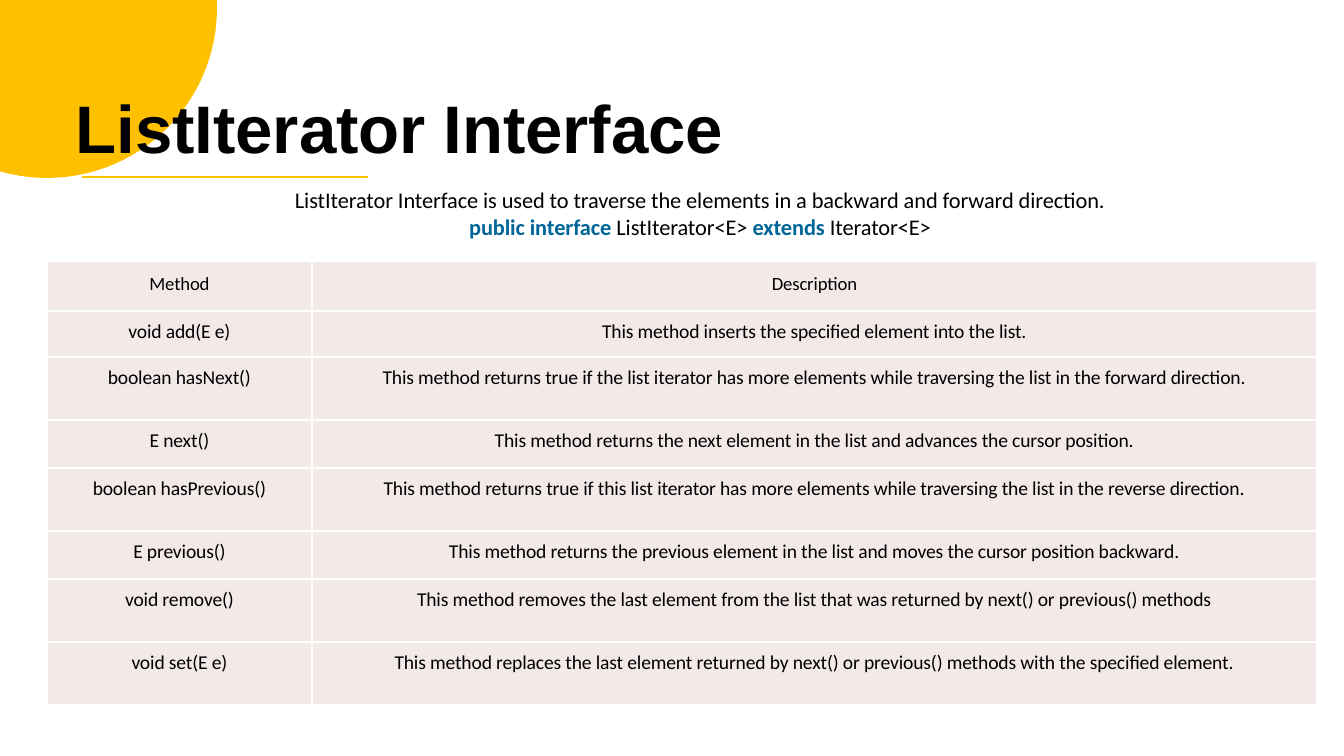
from dataclasses import dataclass
from math import acos, asin, cos, sin

from lxml.etree import SubElement
from pptx import Presentation
from pptx.dml.color import RGBColor
from pptx.enum.shapes import MSO_CONNECTOR
from pptx.enum.text import PP_ALIGN
from pptx.oxml.ns import qn
from pptx.util import Pt


@dataclass(frozen=True)
class Theme:
    accent: str = "FFC000"
    ink: str = "000000"
    keyword: str = "006699"
    cell: str = "F4E9E9"
    border: str = "FFFFFF"
    title_font: str = "Arial"
    body_font: str = "Calibri"
    title_size: float = 36
    intro_size: float = 12
    header_size: float = 10
    row_size: float = 10.5


theme = Theme()
PX = 914400 / 134.4


def px(*lengths):
    return [round(length * PX) for length in lengths]


def write(paragraph, text, size, color=theme.ink, font=theme.body_font,
          bold=False, align=PP_ALIGN.CENTER, spacing=-5):
    """Append a run; spacing is in hundredths of a point."""
    paragraph.alignment = align
    run = paragraph.add_run()
    run.text = text
    run.font.size = Pt(size)
    run.font.name = font
    run.font.bold = bold
    run.font.color.rgb = RGBColor.from_string(color)
    run.font._element.set("spc", str(spacing))


deck = Presentation()
deck.slide_width, deck.slide_height = px(1344, 756)
slide = deck.slides.add_slide(deck.slide_layouts[6])
shapes = slide.shapes

# Corner disc, cut off by the slide's top and left edges
center_x, center_y, radius = 47, 8, 170
start, end = -asin(center_y / radius), acos(-center_x / radius)
steps = 48
angles = [start + (end - start) * i / steps for i in range(steps + 1)]
arc = [px(center_x + radius * cos(a), center_y + radius * sin(a)) for a in angles]
outline = shapes.build_freeform(0, 0)
outline.add_line_segments(arc, close=True)
disc = outline.convert_to_shape()
disc.shadow.inherit = False
disc.fill.solid()
disc.fill.fore_color.rgb = RGBColor.from_string(theme.accent)
disc.line.fill.background()

# Title and introduction
frames = []
for box, left_margin, wrap in [((75, 85, 653, 85), 1, False),
                               ((288, 185, 824, 58), 0, True)]:
    frame = shapes.add_textbox(*px(*box)).text_frame
    frame.margin_left, frame.margin_top = px(left_margin, 1)
    frame.margin_right = frame.margin_bottom = 0
    frame.word_wrap = wrap
    frames.append(frame)
title, intro = frames

write(title.paragraphs[0], "ListIterator Interface", theme.title_size,
      font=theme.title_font, bold=True, align=PP_ALIGN.LEFT)
write(intro.paragraphs[0],
      "ListIterator Interface is used to traverse the elements in a backward "
      "and forward direction.", theme.intro_size)
signature = intro.add_paragraph()
for text, is_keyword in [("public interface ", True), ("ListIterator<E> ", False),
                         ("extends ", True), ("Iterator<E>", False)]:
    write(signature, text, theme.intro_size, bold=is_keyword,
          color=theme.keyword if is_keyword else theme.ink)

# Method table: name, description, row height
methods = [
    ("Method", "Description", 50),
    ("void add(E e)", "This method inserts the specified element into the list.", 46),
    ("boolean hasNext()", "This method returns true if the list iterator has more "
     "elements while traversing the list in the forward direction.", 63),
    ("E next()", "This method returns the next element in the list and advances "
     "the cursor position.", 48),
    ("boolean hasPrevious()", "This method returns true if this list iterator has more "
     "elements while traversing the list in the reverse direction.", 63),
    ("E previous()", "This method returns the previous element in the list and moves "
     "the cursor position backward.", 48),
    ("void remove()", "This method removes the last element from the list that was "
     "returned by next() or previous() methods", 63),
    ("void set(E e)", "This method replaces the last element returned by next() or "
     "previous() methods with the specified element.", 63),
]
column_widths = (265, 1005)
table_height = sum(height for _, _, height in methods)
table = shapes.add_table(len(methods), len(column_widths),
                         *px(47, 261, sum(column_widths), table_height)).table
table.first_row = table.horz_banding = False
for column, width in zip(table.columns, px(*column_widths)):
    column.width = width

for row_index, (*texts, height) in enumerate(methods):
    is_header = row_index == 0
    table.rows[row_index].height = px(height)[0]
    for cell, text in zip(table.rows[row_index].cells, texts):
        cell.margin_left = cell.margin_right = cell.margin_bottom = 0
        cell.margin_top = px(12 if is_header else 9)[0]
        properties = cell._tc.get_or_add_tcPr()
        for side in ("a:lnL", "a:lnR", "a:lnT", "a:lnB"):
            edge = SubElement(properties, qn(side), w=str(Pt(1)))
            fill = SubElement(edge, qn("a:solidFill"))
            SubElement(fill, qn("a:srgbClr"), val=theme.border)
        cell.fill.solid()
        cell.fill.fore_color.rgb = RGBColor.from_string(theme.cell)
        write(cell.text_frame.paragraphs[0], text,
              theme.header_size if is_header else theme.row_size)

# Rule under the title
rule = shapes.add_connector(MSO_CONNECTOR.STRAIGHT, *px(82, 177, 368, 177))
rule.line.color.rgb = RGBColor.from_string(theme.accent)
rule.line.width = Pt(1.5)
SubElement(rule._element.spPr, qn("a:effectLst"))

deck.save("out.pptx")
